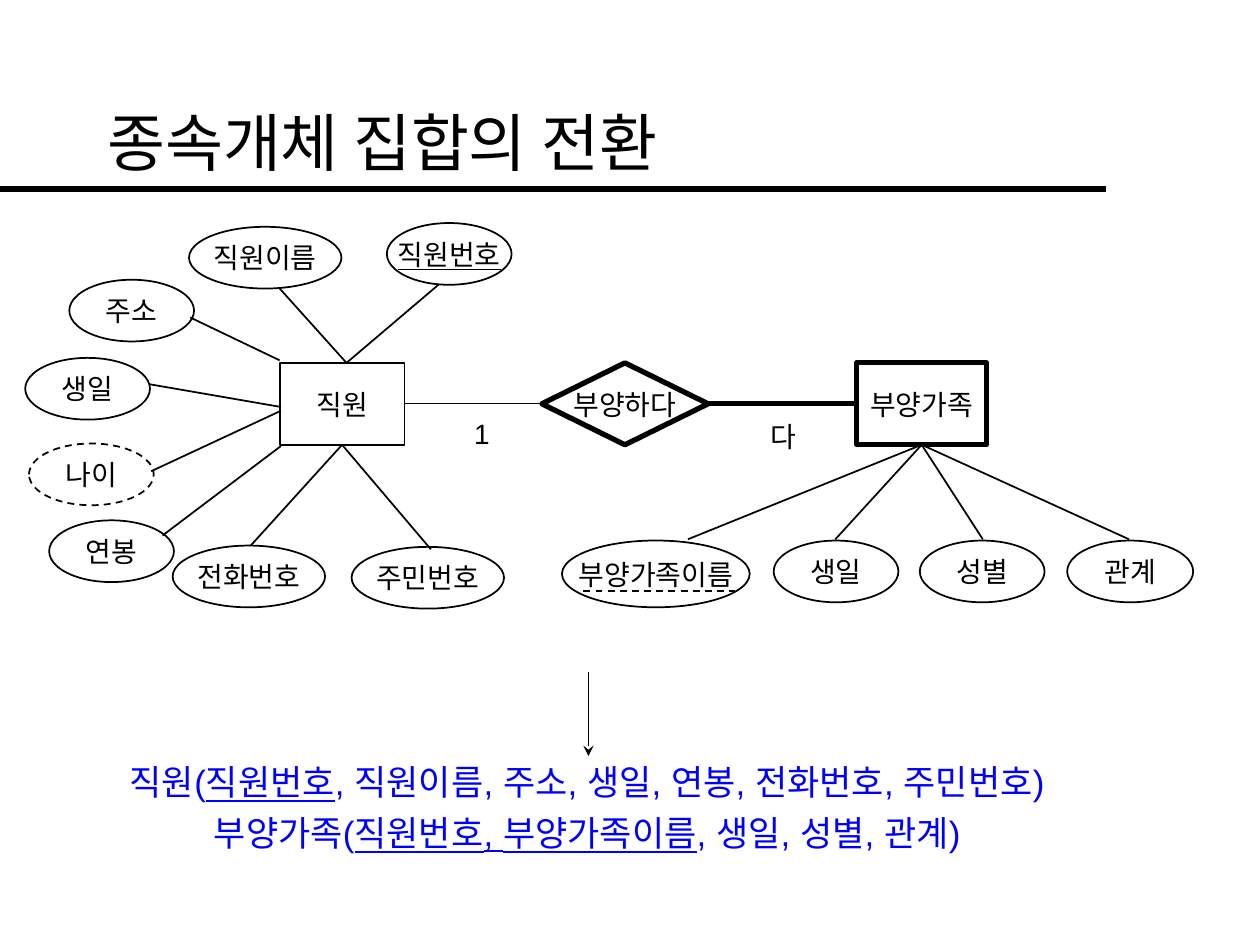
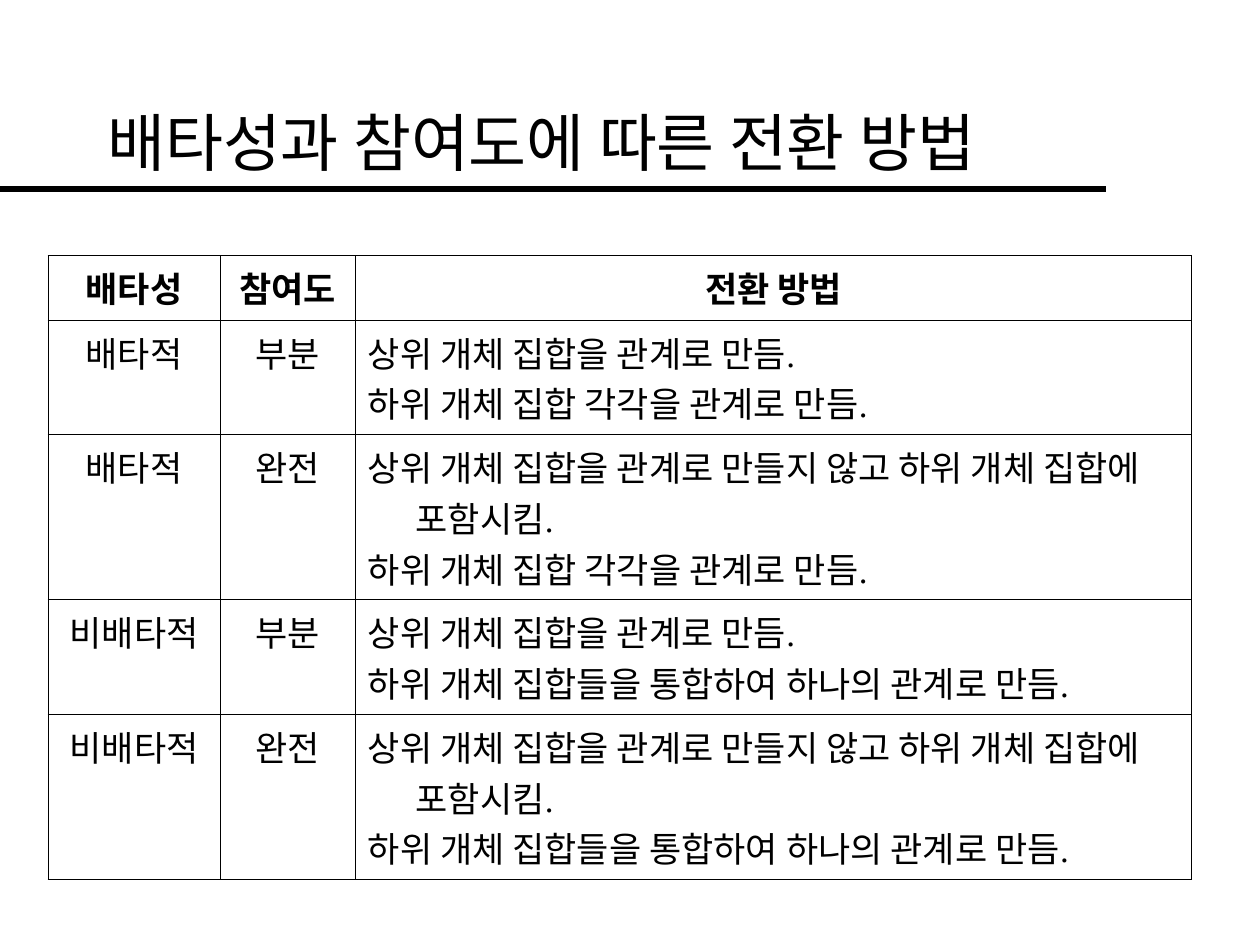
import pptx
import pptx.util
import pptx.dml.color
import pptx.enum.dml
import pptx.enum.shapes
import pptx.enum.text
import pptx.oxml
import pptx.oxml.ns
import lxml.etree

PX = 9144
BLACK, WHITE, BLUE = "000000", "FFFFFF", "0000FF"
HANGUL = "Noto Sans CJK KR"
SHAPE = pptx.enum.shapes.MSO_SHAPE
ALIGN = pptx.enum.text.PP_ALIGN
MIDDLE = pptx.enum.text.MSO_ANCHOR.MIDDLE
OVAL, RECT, GEM = SHAPE.OVAL, SHAPE.RECTANGLE, SHAPE.DIAMOND
TOP, LEFT, BOTTOM, RIGHT = range(4)


def emu(*sizes):
    """Turn px lengths into EMU."""
    return [size * PX for size in sizes]


def color(code):
    """Turn a hex string into a colour."""
    return pptx.dml.color.RGBColor.from_string(code)


def add_xml(parent, tag, **attrs):
    """Append one drawing element to a parent."""
    return lxml.etree.SubElement(parent, pptx.oxml.ns.qn(tag), **attrs)


def style(para, size, face="Arial", tint=BLACK, align=ALIGN.CENTER, bold=False):
    """Set the font and alignment of a paragraph."""
    para.alignment = align
    font = para.font
    font.size = pptx.util.Pt(size)
    font.bold = bold
    font.name = face
    font.color.rgb = color(tint)
    add_xml(font._rPr, "a:ea", typeface=HANGUL)


def pen(line, width, dash=False):
    """Give a line its colour, width and dash."""
    line.color.rgb = color(BLACK)
    line.width = pptx.util.Pt(width)
    if dash:
        line.dash_style = pptx.enum.dml.MSO_LINE.DASH


def add_line(slide, ends, width=1, dash=False):
    """Draw a straight line between two points."""
    kind = pptx.enum.shapes.MSO_CONNECTOR.STRAIGHT
    link = slide.shapes.add_connector(kind, *emu(*ends))
    pen(link.line, width, dash)
    add_xml(link._element.spPr, "a:effectLst")
    return link


def add_arrow(slide, ends):
    """Draw a line with a stealth head at its end."""
    link = add_line(slide, ends)
    add_xml(link.line._get_or_add_ln(), "a:tailEnd", type="stealth")


def add_node(slide, kind, text, box, width=1, dash=False, under=False):
    """Draw a labelled shape of the entity diagram."""
    node = slide.shapes.add_shape(kind, *emu(*box))
    node.shadow.inherit = False
    node.fill.solid()
    node.fill.fore_color.rgb = color(WHITE)
    pen(node.line, width, dash)
    frame = node.text_frame
    frame.word_wrap = False
    frame.vertical_anchor = MIDDLE
    frame.margin_left = frame.margin_right = 0
    frame.margin_top = frame.margin_bottom = 0
    para = frame.paragraphs[0]
    para.text = text
    style(para, 16)
    para.font.underline = under
    return node


def add_text(slide, box, paras, size, tint=BLACK, gap=0):
    """Write centred paragraphs of (text, underlined) runs."""
    frame = slide.shapes.add_textbox(*emu(*box)).text_frame
    frame.word_wrap = False
    for pos, runs in enumerate(paras):
        para = frame.add_paragraph() if pos else frame.paragraphs[0]
        if pos:
            para.space_before = pptx.util.Pt(gap)
        style(para, size, tint=tint)
        for text, under in runs:
            run = para.add_run()
            run.text = text
            if under:
                run.font.underline = True


def add_slide(deck, title):
    """Add a slide with its title and heavy rule."""
    slide = deck.slides.add_slide(deck.slide_layouts[5])
    add_line(slide, (0, 150, 878, 150), 4)
    head = slide.shapes.title
    head.left, head.top, head.width, head.height = emu(75, 50, 850, 125)
    frame = head.text_frame
    frame.text = title
    frame.vertical_anchor = MIDDLE
    frame.auto_size = pptx.enum.text.MSO_AUTO_SIZE.NONE
    style(frame.paragraphs[0], 36, HANGUL, align=ALIGN.LEFT)
    return slide


def fill_cell(cell, text, align, bold):
    """Write a cell with thin borders and hanging lines."""
    props = cell._tc.get_or_add_tcPr()
    for side in "LRTB":
        edge = add_xml(props, f"a:ln{side}", w="5715")
        add_xml(add_xml(edge, "a:solidFill"), "a:srgbClr", val=BLACK)
    cell.fill.background()
    cell.text = text
    for para in cell.text_frame.paragraphs:
        indent = para._p.get_or_add_pPr()
        indent.set("marL", str(38 * PX))
        indent.set("indent", str(-38 * PX))
        style(para, 20, "Times New Roman", align=align, bold=bold)


def add_table(slide, spot, cols, rows, data):
    """Add a plain ruled table with a bold head row."""
    box = emu(*spot, sum(cols), sum(rows))
    table = slide.shapes.add_table(len(rows), len(cols), *box).table
    table.first_row = table.horz_banding = False
    for col, width in zip(table.columns, cols):
        col.width = width * PX
    for row, high, texts in zip(table.rows, rows, data):
        row.height = high * PX
        head = texts is data[0]
        for pos, text in enumerate(texts):
            align = ALIGN.CENTER if head or pos < 2 else ALIGN.LEFT
            fill_cell(row.cells[pos], text, align, head)


def draw_staff(slide):
    """Draw the staff entity with its attributes."""
    for text, box, dash, under in (
        ("직원이름", (150, 180, 121, 49), False, False),
        ("직원번호", (307, 177, 99, 49), False, True),
        ("주소", (55, 222, 99, 49), False, False),
        ("생일", (20, 284, 99, 49), False, False),
        ("나이", (23, 352, 99, 49), True, False),
        ("연봉", (39, 413, 99, 49), False, False),
        ("전화번호", (137, 433, 121, 49), False, False),
        ("주민번호", (279, 434, 121, 49), False, False),
    ):
        add_node(slide, OVAL, text, box, dash=dash, under=under)
    staff = add_node(slide, RECT, "직원", (222, 288, 99, 65))
    for ends in (
        (348, 226, 275, 288),
        (222, 229, 275, 288),
        (151, 252, 222, 286),
        (119, 305, 223, 323),
        (120, 374, 223, 326),
        (129, 425, 223, 354),
    ):
        add_line(slide, ends)
    for end in ((199, 433), (342, 436)):
        add_line(slide, (271, 353, *end)).begin_connect(staff, BOTTOM)
    return staff


def draw_family(slide):
    """Draw the weak family entity with its attributes."""
    family = add_node(slide, RECT, "부양가족", (680, 288, 103, 65), 3)
    for text, box, end in (
        ("부양가족이름", (446, 429, 149, 53), 546),
        ("생일", (614, 429, 99, 49), 663),
        ("성별", (730, 429, 99, 49), 780),
        ("관계", (847, 429, 100, 49), 896),
    ):
        add_node(slide, OVAL, text, box)
        add_line(slide, (730, 353, end, 428)).begin_connect(family, BOTTOM)
    add_line(slide, (463, 469, 583, 469), dash=True)
    return family


def draw_model(slide):
    """Draw both entities, their bond and the resulting relations."""
    staff, family = draw_staff(slide), draw_family(slide)
    bond = add_node(slide, GEM, "부양하다", (430, 288, 132, 65), 3)
    for start, end, ends, width in (
        (staff, bond, (321, 320, 430, 320), 0.75),
        (bond, family, (562, 320, 680, 320), 3),
    ):
        link = add_line(slide, ends, width)
        link.begin_connect(start, RIGHT)
        link.end_connect(end, LEFT)
    add_text(slide, (366, 326, 33, 37), [[("1", False)]], 16)
    add_text(slide, (601, 328, 41, 37), [[("다", False)]], 16)
    add_arrow(slide, (467, 533, 467, 600))
    relations = [
        [("직원(", False), ("직원번호", True),
         (", 직원이름, 주소, 생일, 연봉, 전화번호, 주민번호)", False)],
        [("부양가족(", False), ("직원번호, 부양가족이름", True),
         (", 생일, 성별, 관계)", False)],
    ]
    add_text(slide, (43, 599, 846, 97), relations, 20, BLUE, 5)


def draw_rules(slide):
    """Draw the table of conversion methods."""
    make = "상위 개체 집합을 관계로 만듬."
    merge = "상위 개체 집합을 관계로 만들지 않고 하위 개체 집합에 포함시킴."
    each = "하위 개체 집합 각각을 관계로 만듬."
    unite = "하위 개체 집합들을 통합하여 하나의 관계로 만듬."
    data = [("배타성", "참여도", "전환 방법")]
    for kind, lower in (("배타적", each), ("비배타적", unite)):
        for part, upper in (("부분", make), ("완전", merge)):
            data.append((kind, part, f"{upper}\n{lower}"))
    rows = (51, 91, 131, 91, 131)
    add_table(slide, (38, 203), (137, 107, 664), rows, data)


def main():
    """Build the deck."""
    deck = pptx.Presentation()
    deck.slide_width, deck.slide_height = emu(1000, 750)
    draw_model(add_slide(deck, "종속개체 집합의 전환"))
    draw_rules(add_slide(deck, "배타성과 참여도에 따른 전환 방법"))
    deck.save("out.pptx")


if __name__ == "__main__":
    main()
